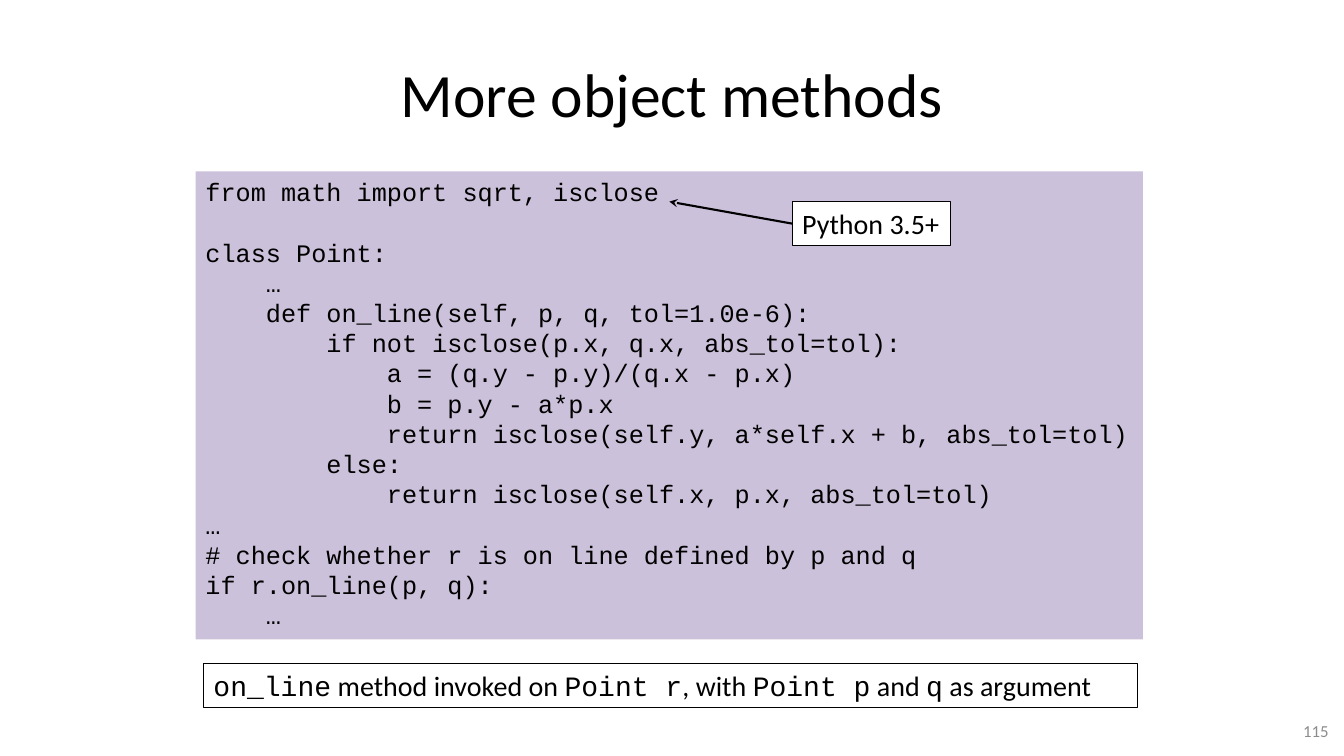
import pptx
import pptx.util
import pptx.dml.color
import pptx.enum.shapes
import pptx.enum.text
import pptx.oxml.ns
from dataclasses import dataclass
from lxml import etree

Pt = pptx.util.Pt
ALIGN = pptx.enum.text.PP_ALIGN
ANCHOR = pptx.enum.text.MSO_ANCHOR


@dataclass(frozen=True)
class Theme:
    ink: str = "000000"
    paper: str = "FFFFFF"
    code_fill: str = "CCC1DA"
    muted: str = "8C8C8C"
    sans: str = "Calibri"
    mono: str = "Courier New"
    title: int = 44
    note: int = 20
    code: int = 18
    number: int = 12
    code_line: float = 21.6


T = Theme()

CODE = """from math import sqrt, isclose

class Point:
    …
    def on_line(self, p, q, tol=1.0e-6):
        if not isclose(p.x, q.x, abs_tol=tol):
            a = (q.y - p.y)/(q.x - p.x)
            b = p.y - a*p.x
            return isclose(self.y, a*self.x + b, abs_tol=tol)
        else:
            return isclose(self.x, p.x, abs_tol=tol)
…
# check whether r is on line defined by p and q
if r.on_line(p, q):
    …"""


def rgb(color):
    return pptx.dml.color.RGBColor.from_string(color)


def add_run(p, text, size=T.note, font=T.sans, color=T.ink):
    r = p.add_run()
    r.text = text
    r.font.size = Pt(size)
    r.font.name = font
    r.font.color.rgb = rgb(color)


def add_box(s, box, fill=None, line=None, wrap=True, anchor=ANCHOR.TOP):
    sp = s.shapes.add_textbox(*(Pt(v) for v in box))
    if fill:
        sp.fill.solid()
        sp.fill.fore_color.rgb = rgb(fill)
    if line:
        sp.line.color.rgb = rgb(line)
        sp.line.width = Pt(0.75)
    sp.text_frame.word_wrap = wrap
    sp.text_frame.vertical_anchor = anchor
    return sp


def add_title(s, box, text):
    sp = s.shapes.title
    sp.left, sp.top, sp.width, sp.height = (Pt(v) for v in box)
    sp.text_frame.vertical_anchor = ANCHOR.MIDDLE
    p = sp.text_frame.paragraphs[0]
    p.alignment = ALIGN.CENTER
    add_run(p, text, size=T.title)


def add_code(s, box, code):
    tf = add_box(s, box, fill=T.code_fill).text_frame
    p = tf.paragraphs[0]
    for i, block in enumerate(code.split("\n\n")):
        for j, text in enumerate(block.split("\n")):
            if i or j:
                p = tf.add_paragraph()
            if i and j == 0:
                p.space_before = Pt(T.code_line)
            add_run(p, text, size=T.code, font=T.mono)


def add_callout(s, box, text, dx, dy):
    """Label with an arrow from its left side to (dx, dy) from its corner."""
    x, y, w, h = box
    label = add_box(s, box, fill=T.paper, line=T.ink, wrap=False)
    add_run(label.text_frame.paragraphs[0], text)
    arrow = s.shapes.add_connector(
        pptx.enum.shapes.MSO_CONNECTOR.STRAIGHT,
        Pt(x), Pt(y + h / 2), Pt(x + dx), Pt(y + dy))
    arrow.begin_connect(label, 1)
    arrow.line.color.rgb = rgb(T.ink)
    arrow.line.width = Pt(1.5)
    qn = pptx.oxml.ns.qn
    ln = arrow.line._get_or_add_ln()
    etree.SubElement(ln, qn("a:tailEnd"), type="stealth")
    etree.SubElement(arrow._element.spPr, qn("a:effectLst"))


def add_note(s, box, parts):
    p = add_box(s, box, line=T.ink).text_frame.paragraphs[0]
    for text, font in parts:
        add_run(p, text, font=font)


def add_number(s, box, text):
    p = add_box(s, box, anchor=ANCHOR.MIDDLE).text_frame.paragraphs[0]
    p.alignment = ALIGN.RIGHT
    add_run(p, text, size=T.number, color=T.muted)


def main():
    prs = pptx.Presentation()
    prs.slide_width, prs.slide_height = Pt(960), Pt(540)
    s = prs.slides.add_slide(prs.slide_layouts[5])

    # Title
    add_title(s, (48, 21.6, 864, 90), "More object methods")

    # Code listing and version callout
    add_code(s, (139.7, 122.4, 676.8, 334.3), CODE)
    add_callout(s, (565.9, 144, 113, 31.5), "Python 3.5+", dx=-87.8, dy=0)

    # Explanation below the code
    add_note(s, (145.4, 473.8, 666.9, 31.5), [
        ("on_line", T.mono), (" method invoked on ", T.sans),
        ("Point r", T.mono), (", with ", T.sans),
        ("Point p", T.mono), (" and ", T.sans),
        ("q", T.mono), (" as argument", T.sans)])

    # Slide number
    add_number(s, (732.2, 507.6, 224, 28.8), "115")

    prs.save("out.pptx")


if __name__ == "__main__":
    main()
